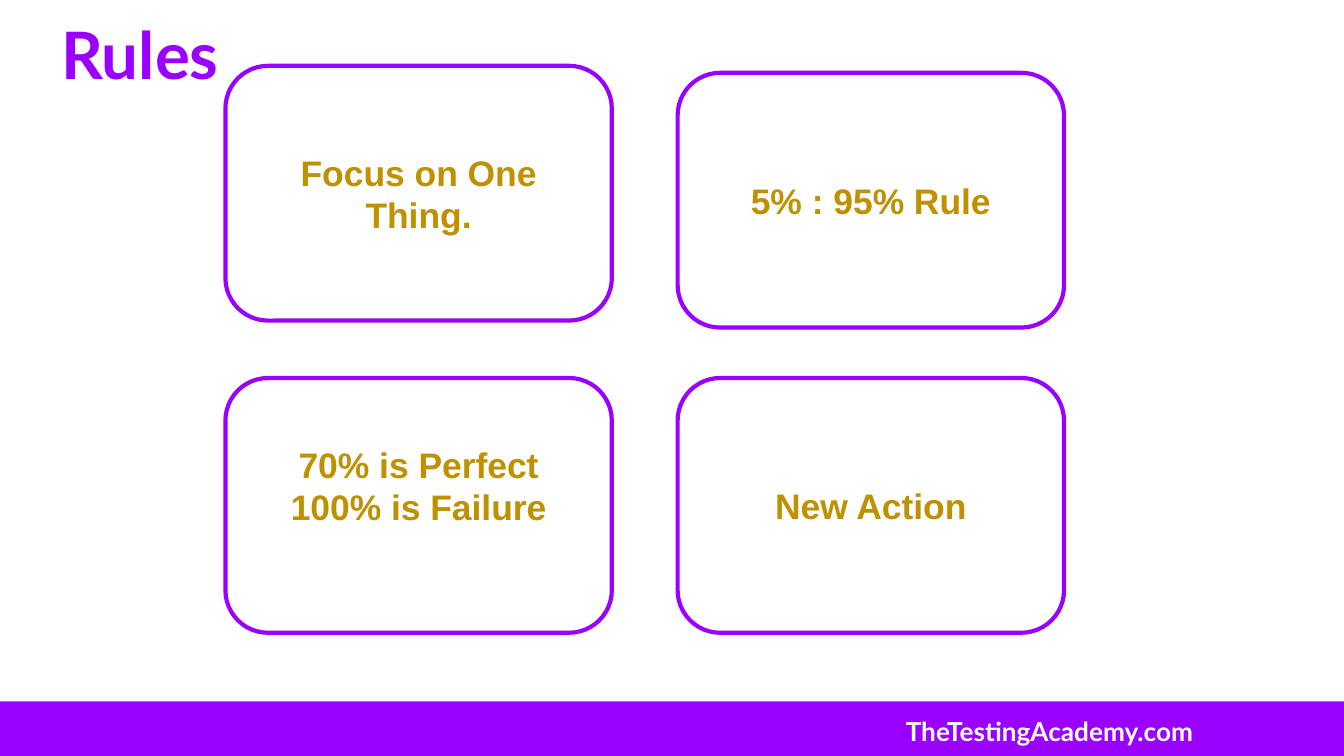
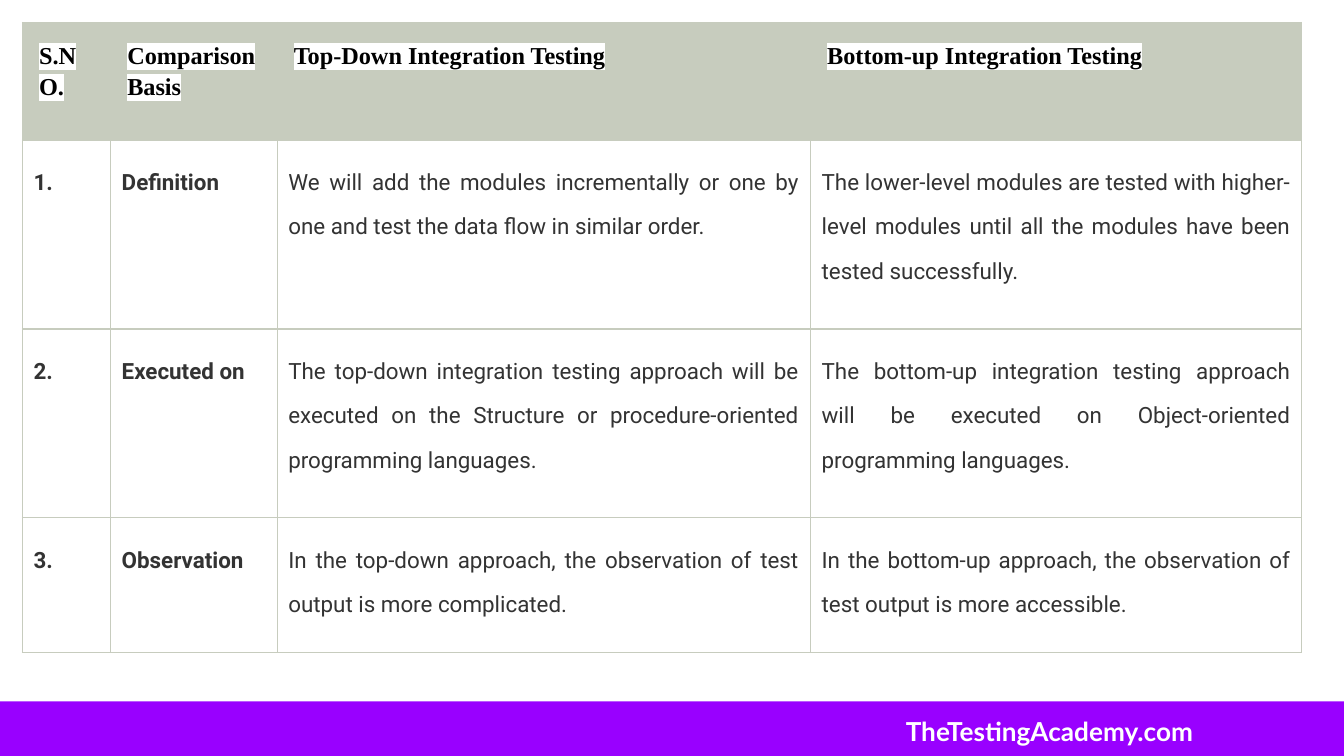
import pptx
import pptx.util
import pptx.dml.color
import pptx.enum.shapes
import pptx.enum.text
import pptx.oxml
import pptx.oxml.ns
import lxml.etree

RGBColor = pptx.dml.color.RGBColor
PURPLE = RGBColor(0x99, 0x00, 0xFF)
GOLD = RGBColor(0xBF, 0x90, 0x00)
SAGE = RGBColor(0xC7, 0xCC, 0xBE)
WHITE = RGBColor(0xFF, 0xFF, 0xFF)
BLACK = RGBColor(0x00, 0x00, 0x00)
CHARCOAL = RGBColor(0x33, 0x33, 0x33)

SHAPE = pptx.enum.shapes.MSO_SHAPE
ANCHOR = pptx.enum.text.MSO_ANCHOR
ALIGN = pptx.enum.text.PP_ALIGN
AUTOSIZE = pptx.enum.text.MSO_AUTO_SIZE
qn = pptx.oxml.ns.qn

EMU_PER_PX = 9525
WIDTH, HEIGHT = 960, 540
BAND_TOP = 501
FOOTER_X = 637
TITLE_ONLY, BLANK = 5, 6

INSET = 10
CARD_W, CARD_H = 276, 182
LEFT_X, RIGHT_X, LOWER_Y = 161, 484, 270
CARDS = [
    (LEFT_X, 47, ["Focus on One Thing."], INSET),
    (LEFT_X, LOWER_Y, ["70% is Perfect", "100% is Failure"], 39),
    (RIGHT_X, 52, ["5% : 95% Rule"], INSET),
    (RIGHT_X, LOWER_Y, ["New Action"], INSET),
]

COLUMN_WIDTHS = [63, 119, 381, 351]
ROW_HEIGHTS = [84, 135, 135, 96]
COMPARISON = [
    ["S.NO.", "Comparison Basis", "Top-Down Integration Testing", "Bottom-up Integration Testing"],
    ["1.", "Definition",
     "We will add the modules incrementally or one by one and test the data flow in similar order.",
     "The lower-level modules are tested with higher-level modules until all the modules have been "
     "tested successfully."],
    ["2.", "Executed on",
     "The top-down integration testing approach will be executed on the Structure or "
     "procedure-oriented programming languages.",
     "The bottom-up integration testing approach will be executed on Object-oriented "
     "programming languages."],
    ["3.", "Observation",
     "In the top-down approach, the observation of test output is more complicated.",
     "In the bottom-up approach, the observation of test output is more accessible."],
]


def px(n):
    return pptx.util.Emu(n * EMU_PER_PX)


class Deck:
    def __init__(self):
        self.prs = pptx.Presentation()
        self.prs.slide_width, self.prs.slide_height = px(WIDTH), px(HEIGHT)
        self.s = None

    def slide(self, layout):
        self.s = self.prs.slides.add_slide(self.prs.slide_layouts[layout])
        self.s.background.fill.solid()
        self.s.background.fill.fore_color.rgb = WHITE
        band = self.shape(SHAPE.RECTANGLE, 0, BAND_TOP, WIDTH, HEIGHT - BAND_TOP)
        band.fill.solid()
        band.fill.fore_color.rgb = PURPLE
        band.line.fill.background()
        self.text(FOOTER_X, BAND_TOP, WIDTH - FOOTER_X, HEIGHT - BAND_TOP, "TheTestingAcademy.com")

    def shape(self, kind, x, y, w, h):
        sp = self.s.shapes.add_shape(kind, px(x), px(y), px(w), px(h))
        sp.shadow.inherit = False
        return sp

    def frame(self, tf, anchor=ANCHOR.TOP, bottom=INSET):
        tf.word_wrap = True
        tf.vertical_anchor = anchor
        tf.margin_left = tf.margin_top = tf.margin_right = px(INSET)
        tf.margin_bottom = px(bottom)
        return tf.paragraphs[0]

    def run(self, p, text, size, font, color, bold=True):
        r = p.add_run()
        r.text = text
        r.font.size = pptx.util.Pt(size)
        r.font.name = font
        r.font.bold = bold
        r.font.color.rgb = color
        return r

    def text(self, x, y, w, h, text):
        tf = self.s.shapes.add_textbox(px(x), px(y), px(w), px(h)).text_frame
        self.run(self.frame(tf), text, 14, "Lato", WHITE)

    def title(self, text, x, y, w, h):
        sp = self.s.shapes.title
        sp.left, sp.top, sp.width, sp.height = px(x), px(y), px(w), px(h)
        p = self.frame(sp.text_frame)
        sp.text_frame.auto_size = AUTOSIZE.SHAPE_TO_FIT_TEXT
        p.alignment = ALIGN.CENTER
        self.run(p, text, 35, "Lato", PURPLE)

    def card(self, x, y, lines, bottom):
        sp = self.shape(SHAPE.ROUNDED_RECTANGLE, x, y, CARD_W, CARD_H)
        sp.adjustments[0] = 0.167
        sp.fill.background()
        sp.line.color.rgb = PURPLE
        sp.line.width = pptx.util.Pt(2.25)
        p = self.frame(sp.text_frame, ANCHOR.MIDDLE, bottom)
        p.alignment = ALIGN.CENTER
        for i, line in enumerate(lines):
            if i:
                p.add_line_break()
            self.run(p, line, 19, "Arial", GOLD)

    def highlight(self, r, color):
        hl = pptx.oxml.parse_xml(
            '<a:highlight xmlns:a="http://schemas.openxmlformats.org/drawingml/2006/main">'
            f'<a:srgbClr val="{color}"/></a:highlight>')
        r.font._element.find(qn("a:solidFill")).addnext(hl)

    def borders(self, cell, color):
        tcPr = cell._tc.get_or_add_tcPr()
        for side in ("a:lnL", "a:lnR", "a:lnT", "a:lnB"):
            ln = lxml.etree.SubElement(tcPr, qn(side), w=str(pptx.util.Pt(0.75)))
            fill = lxml.etree.SubElement(ln, qn("a:solidFill"))
            lxml.etree.SubElement(fill, qn("a:srgbClr"), val=str(color))

    def cell(self, cell, text, header, bold):
        self.borders(cell, SAGE)
        cell.fill.solid()
        cell.fill.fore_color.rgb = SAGE if header else WHITE
        margin = px(12 if header else 8)
        cell.margin_left = cell.margin_right = margin
        cell.margin_top = cell.margin_bottom = margin
        p = cell.text_frame.paragraphs[0]
        if header:
            p.line_spacing = 1.15
            self.highlight(self.run(p, text, 13, "Times New Roman", BLACK), WHITE)
        else:
            p.alignment = ALIGN.JUSTIFY
            p.line_spacing = 1.7
            self.run(p, text, 12, "Roboto", CHARCOAL, bold)

    def table(self, x, y, widths, heights, rows):
        tbl = self.s.shapes.add_table(len(rows), len(widths), px(x), px(y),
                                      px(sum(widths)), px(sum(heights))).table
        tbl.horz_banding = False
        for col, w in zip(tbl.columns, widths):
            col.width = px(w)
        for row, h in zip(tbl.rows, heights):
            row.height = px(h)
        for i, row in enumerate(rows):
            for j, text in enumerate(row):
                self.cell(tbl.cell(i, j), text, header=i == 0, bold=j < 2)


def main():
    deck = Deck()

    deck.slide(TITLE_ONLY)
    for card in CARDS:
        deck.card(*card)
    deck.title("Rules", 0, 0, 200, 76)

    deck.slide(BLANK)
    deck.table(16, 16, COLUMN_WIDTHS, ROW_HEIGHTS, COMPARISON)

    deck.prs.save("out.pptx")


if __name__ == "__main__":
    main()
